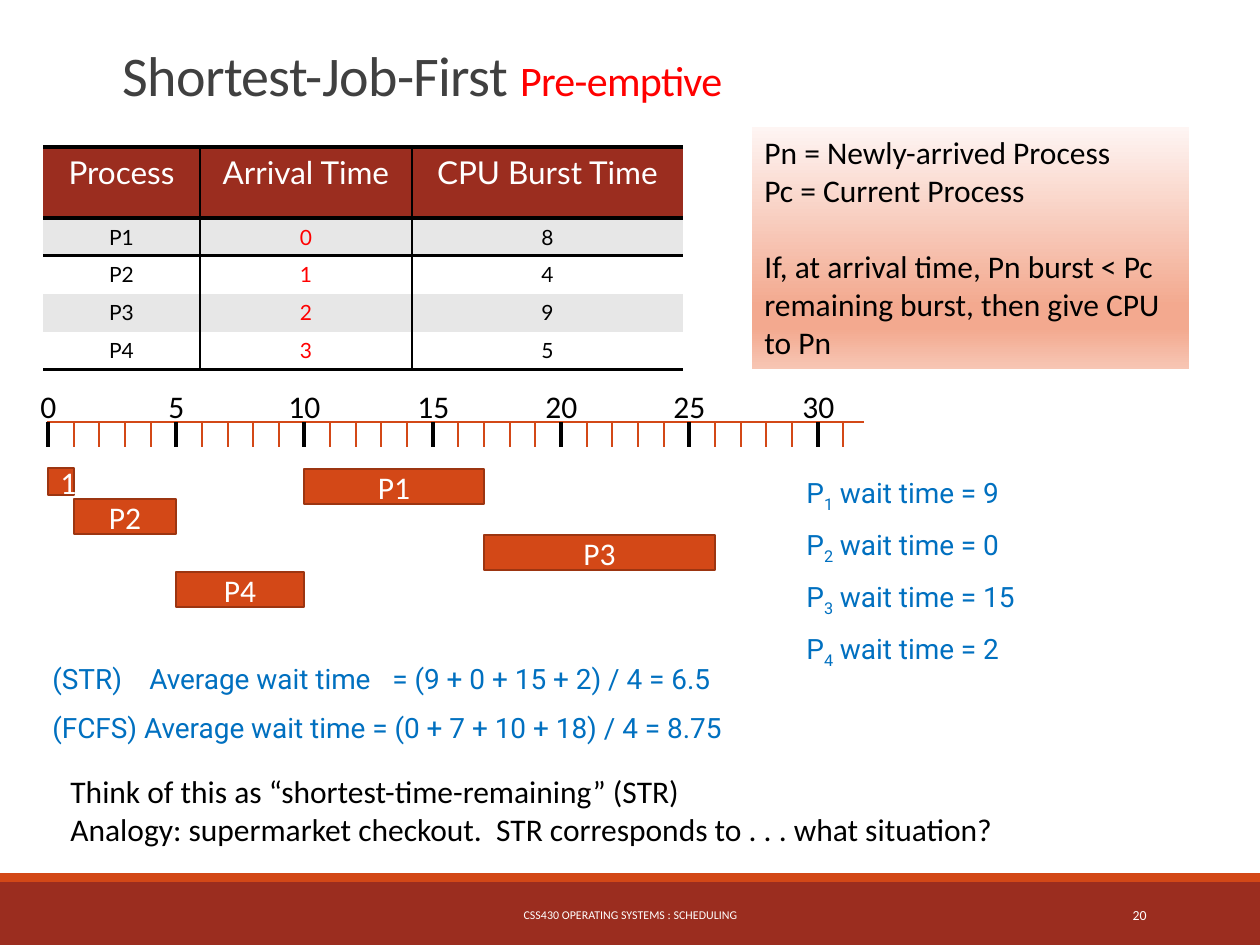
from lxml import etree
from pptx import Presentation
from pptx.dml.color import RGBColor
from pptx.enum.shapes import MSO_CONNECTOR, MSO_SHAPE
from pptx.enum.text import MSO_ANCHOR, MSO_AUTO_SIZE, PP_ALIGN
from pptx.oxml import parse_xml
from pptx.oxml.ns import nsdecls, qn
from pptx.util import Emu, Pt

RECTANGLE = MSO_SHAPE.RECTANGLE
STRAIGHT = MSO_CONNECTOR.STRAIGHT
TOP, MIDDLE, BOTTOM = MSO_ANCHOR.TOP, MSO_ANCHOR.MIDDLE, MSO_ANCHOR.BOTTOM
LEFT, CENTER, RIGHT = PP_ALIGN.LEFT, PP_ALIGN.CENTER, PP_ALIGN.RIGHT
NO_AUTOFIT = MSO_AUTO_SIZE.NONE

EMU_PER_PX = 914400 / 126
TITLE_ONLY = 5
PLAIN_TABLE_STYLE = "{2D5ABB26-0587-4C30-8999-92F81FD0307C}"
BLACK, WHITE, RED, BLUE = "000000", "FFFFFF", "FF0000", "0070C0"
ORANGE, DARK_ORANGE, BRICK, GREY, CHARCOAL = "D34817", "9C3511", "9B2D1F", "E7E7E7", "404040"

AXIS_LEFT, AXIS_TOP, TICK_HEIGHT, TICK_GAP, TICK_COUNT = 48, 422, 25, 25.65, 32


def px(length):
    return Emu(round(length * EMU_PER_PX))


def color(hex_string):
    return RGBColor.from_string(hex_string)


def tick_x(time):
    return round(AXIS_LEFT + TICK_GAP * time)


class SlideBuilder:
    """Holds the text style and the current slide, and adds elements to it."""

    def __init__(self, slide, font="Calibri", size=18):
        self.slide = slide
        self.font = font
        self.size = size

    def style(self, paragraph, hex_color, size=None, font=None, align=LEFT):
        paragraph.alignment = align
        paragraph.font.name = font or self.font
        paragraph.font.size = Pt(size or self.size)
        paragraph.font.color.rgb = color(hex_color)

    def fill_frame(self, frame, lines, hex_color, anchor=TOP, **style):
        frame.word_wrap = True
        frame.vertical_anchor = anchor
        frame.text = "\n".join(lines)
        for paragraph in frame.paragraphs:
            self.style(paragraph, hex_color, **style)
        return frame

    def title(self, text, accent, left, top, width, height):
        shape = self.slide.shapes.title
        shape.left, shape.top, shape.width, shape.height = map(px, (left, top, width, height))
        frame = self.fill_frame(shape.text_frame, [text], CHARCOAL, BOTTOM, size=32)
        frame.auto_size = NO_AUTOFIT
        paragraph = frame.paragraphs[0]
        paragraph.line_spacing = 0.85
        accent_run = paragraph.add_run()
        accent_run.text = accent
        accent_run.font.size = Pt(24)
        accent_run.font.color.rgb = color(RED)
        for run in paragraph.runs:
            run.font._element.set("spc", "-40")

    def text(self, lines, left, top, width, height, hex_color=BLACK, **style):
        box = self.slide.shapes.add_textbox(*map(px, (left, top, width, height)))
        return self.fill_frame(box.text_frame, lines, hex_color, **style)

    def rectangle(self, left, top, width, height, fill, outline=None):
        shape = self.slide.shapes.add_shape(RECTANGLE, *map(px, (left, top, width, height)))
        shape.shadow.inherit = False
        shape.fill.solid()
        shape.fill.fore_color.rgb = color(fill)
        if outline:
            shape.line.color.rgb = color(outline)
            shape.line.width = Pt(1.25)
        else:
            shape.line.fill.background()
        return shape

    def bar(self, label, start, end, top, height):
        left = tick_x(start)
        shape = self.rectangle(left, top, tick_x(end) - left, height, ORANGE, DARK_ORANGE)
        self.fill_frame(shape.text_frame, [label], WHITE, MIDDLE, align=CENTER)

    def gradient_note(self, lines, left, top, width, height, stops):
        shape = self.rectangle(left, top, width, height, WHITE)
        shape.fill.gradient()
        shape.fill.gradient_angle = 270
        stop_list = shape._element.spPr.find(".//" + qn("a:gsLst"))
        stop_list.clear()
        for percent, hex_color in stops:
            stop = etree.SubElement(stop_list, qn("a:gs"), pos=str(percent * 1000))
            etree.SubElement(stop, qn("a:srgbClr"), val=hex_color)
        return self.fill_frame(shape.text_frame, lines, BLACK)

    def line(self, x1, y1, x2, y2, hex_color, width):
        connector = self.slide.shapes.add_connector(STRAIGHT, *map(px, (x1, y1, x2, y2)))
        connector.line.color.rgb = color(hex_color)
        connector.line.width = Pt(width)
        etree.SubElement(connector._element.spPr, qn("a:effectLst"))

    def border(self, cell, side, width):
        cell._tc.get_or_add_tcPr().append(parse_xml(
            f'<a:ln{side} {nsdecls("a")} w="{Pt(width)}"><a:solidFill>'
            f'<a:srgbClr val="{BLACK}"/></a:solidFill></a:ln{side}>'))

    def table(self, rows, left, top, column_widths, row_heights):
        frame = self.slide.shapes.add_table(
            len(rows), len(column_widths),
            *map(px, (left, top, sum(column_widths), sum(row_heights))))
        table = frame.table
        table.first_row = table.horz_banding = False
        table._tbl.tblPr.find(qn("a:tableStyleId")).text = PLAIN_TABLE_STYLE
        for column, width in zip(table.columns, column_widths):
            column.width = px(width)
        for row, height in zip(table.rows, row_heights):
            row.height = px(height)
        last_row, last_column = len(rows) - 1, len(column_widths) - 1
        for r, values in enumerate(rows):
            for c, value in enumerate(values):
                cell = table.cell(r, c)
                borders = (("L", 1, c > 0), ("R", 1, c < last_column),
                           ("T", 2, r <= 1), ("B", 2, r in (0, last_row)))
                for side, width, visible in borders:
                    if visible:
                        self.border(cell, side, width)
                cell.fill.solid()
                cell.fill.fore_color.rgb = color(BRICK if r == 0 else GREY if r % 2 else WHITE)
                cell.text = value
                text_color = WHITE if r == 0 else RED if c == 1 else BLACK
                self.style(cell.text_frame.paragraphs[0], text_color,
                           18 if r == 0 else 12, "Lato", CENTER)

    def wait_times(self, waits, left, top, width, height):
        frame = self.text(["P"] * len(waits), left, top, width, height, BLUE,
                          anchor=MIDDLE, size=16, font="Roboto")
        for number, (paragraph, wait) in enumerate(zip(frame.paragraphs, waits), 1):
            paragraph._p.get_or_add_pPr().insert(0, parse_xml(
                f'<a:spcBef {nsdecls("a")}><a:spcPct val="50000"/></a:spcBef>'))
            subscript = paragraph.add_run()
            subscript.text = str(number)
            subscript.font._element.set("baseline", "-25000")
            paragraph.add_run().text = f" wait time = {wait}"

    def tab_stops(self, paragraph, positions):
        tabs = parse_xml(f'<a:tabLst {nsdecls("a")}/>')
        for position in positions:
            etree.SubElement(tabs, qn("a:tab"), pos=str(px(position)), algn="l")
        paragraph._p.pPr.insert(0, tabs)


def main():
    presentation = Presentation()
    presentation.slide_width, presentation.slide_height = px(1260), px(945)
    slide = presentation.slides.add_slide(presentation.slide_layouts[TITLE_ONLY])
    builder = SlideBuilder(slide)

    builder.rectangle(0, 882, 1260, 63, BRICK)
    builder.rectangle(0, 873, 1260, 9, ORANGE)
    builder.text(["CSS430 OPERATING SYSTEMS : SCHEDULING"], 381, 890, 499, 50, WHITE,
                 anchor=MIDDLE, size=6.8, align=CENTER)
    builder.text(["20"], 1023, 890, 136, 50, WHITE, anchor=MIDDLE, size=7.9, align=RIGHT)

    builder.title("Shortest-Job-First ", "Pre-emptive", 110, 37, 1150, 77)
    builder.table([("Process", "Arrival Time", "CPU Burst Time"),
                   ("P1", "0", "8"), ("P2", "1", "4"), ("P3", "2", "9"), ("P4", "3", "5")],
                  43, 147, (157, 212, 271), (71, 35, 35, 35, 35))
    note = builder.gradient_note(
        ["Pn = Newly-arrived Process", "Pc = Current Process",
         "If, at arrival time, Pn burst < Pc remaining burst, then give CPU to Pn"],
        752, 127, 437, 242, ((0, "FEF5F3"), (74, "F3A98F"), (83, "F3A98F"), (100, "F7C6B4")))
    note.paragraphs[-1].space_before = Pt(22)

    builder.line(47, AXIS_TOP, 864, AXIS_TOP, ORANGE, 1)
    for time in range(TICK_COUNT):
        x = tick_x(time)
        major = time % 5 == 0
        builder.line(x, AXIS_TOP, x, AXIS_TOP + TICK_HEIGHT,
                     BLACK if major else ORANGE, 2 if major else 1)
        if major:
            offset, width = (20, 31) if time < 10 else (28, 63)
            builder.text([str(time)], x - offset, 381, width, 50)

    for label, start, end, top, height in (("1", 0, 1, 468, 27), ("P2", 1, 5, 499, 35),
                                           ("P4", 5, 10, 572, 35), ("P1", 10, 17, 469, 35),
                                           ("P3", 17, 26, 535, 35)):
        builder.bar(label, start, end, top, height)

    builder.wait_times((9, 0, 15, 2), 794, 473, 437, 199)
    average = builder.text(["(STR)\tAverage wait time\t= (9 + 0 + 15 + 2) / 4 = 6.5"],
                           40, 655, 806, 47, BLUE, size=16, font="Roboto")
    builder.tab_stops(average.paragraphs[0], (97, 340))
    builder.text(["(FCFS) Average wait time = (0 + 7 + 10 + 18) / 4 = 8.75"],
                 40, 704, 1144, 47, BLUE, size=16, font="Roboto")
    builder.text(["Think of this as “shortest-time-remaining” (STR)",
                  "Analogy: supermarket checkout.  STR corresponds to . . . what situation?"],
                 58, 766, 1038, 89)
    presentation.save("out.pptx")


if __name__ == "__main__":
    main()
